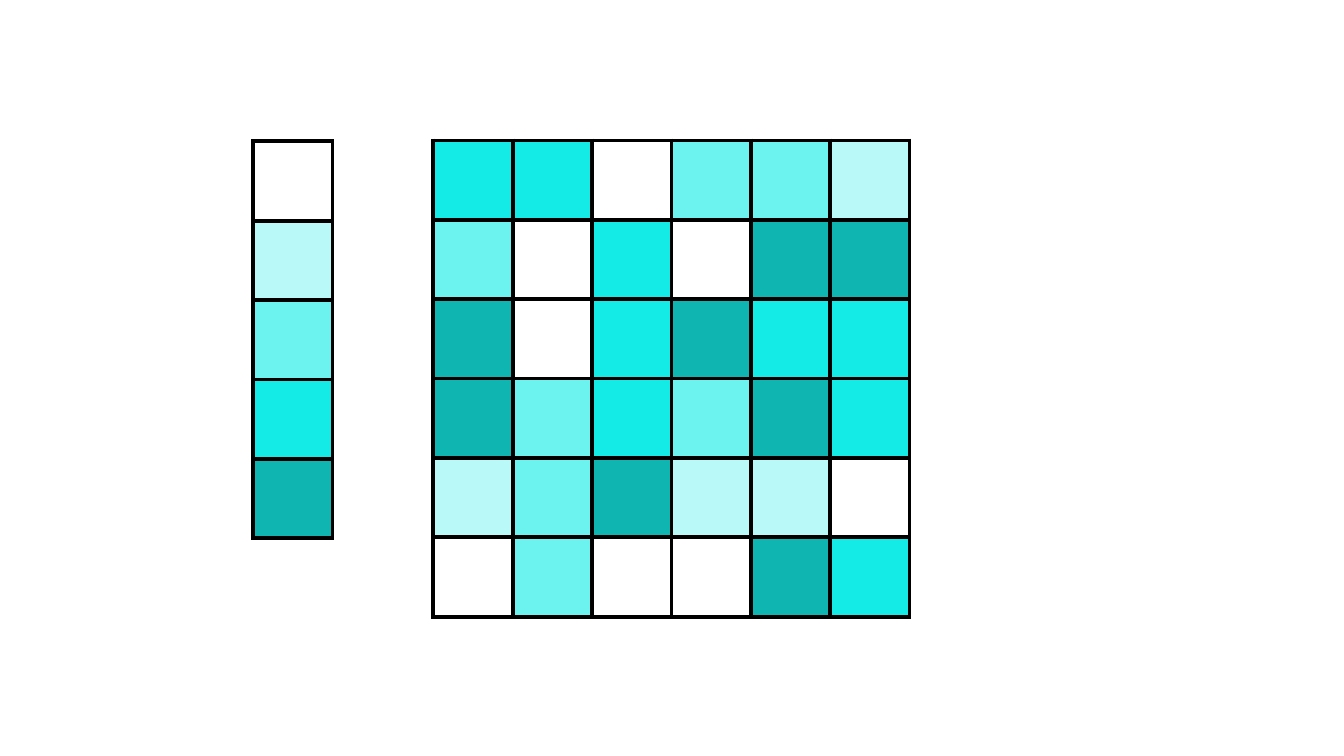
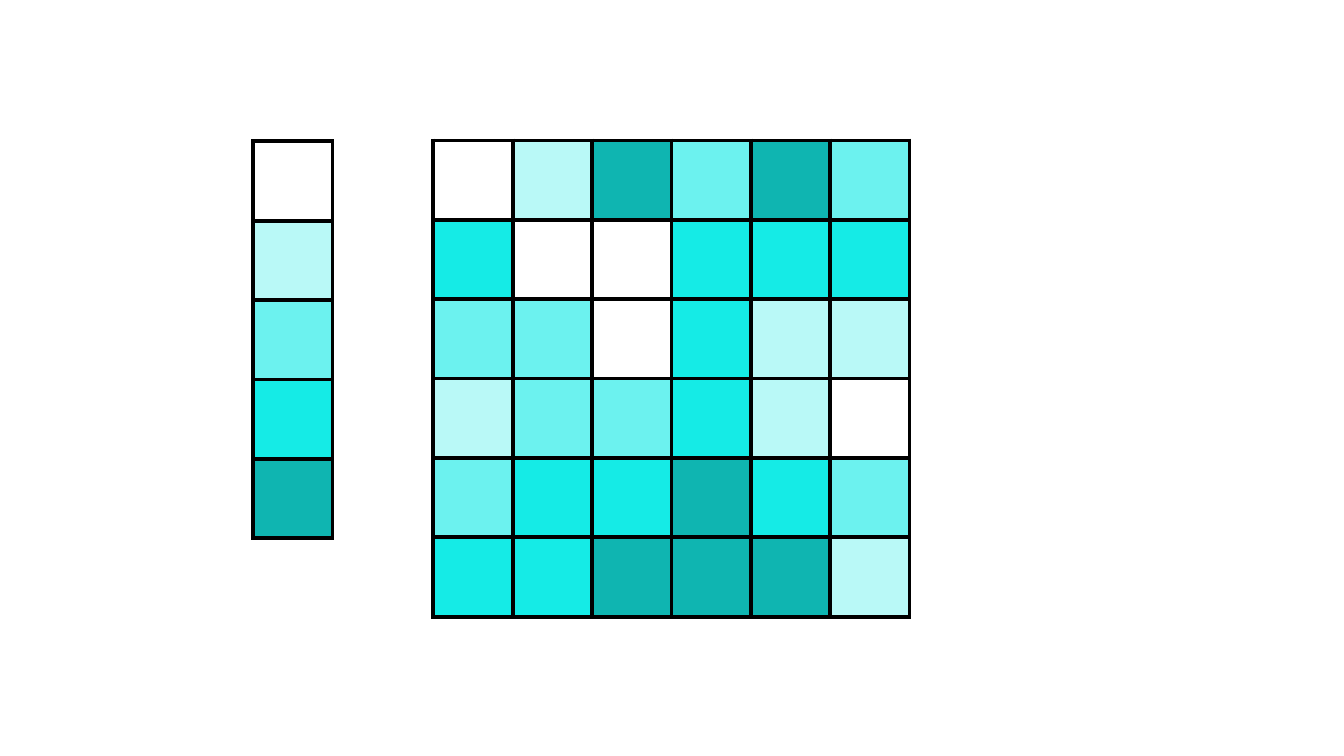
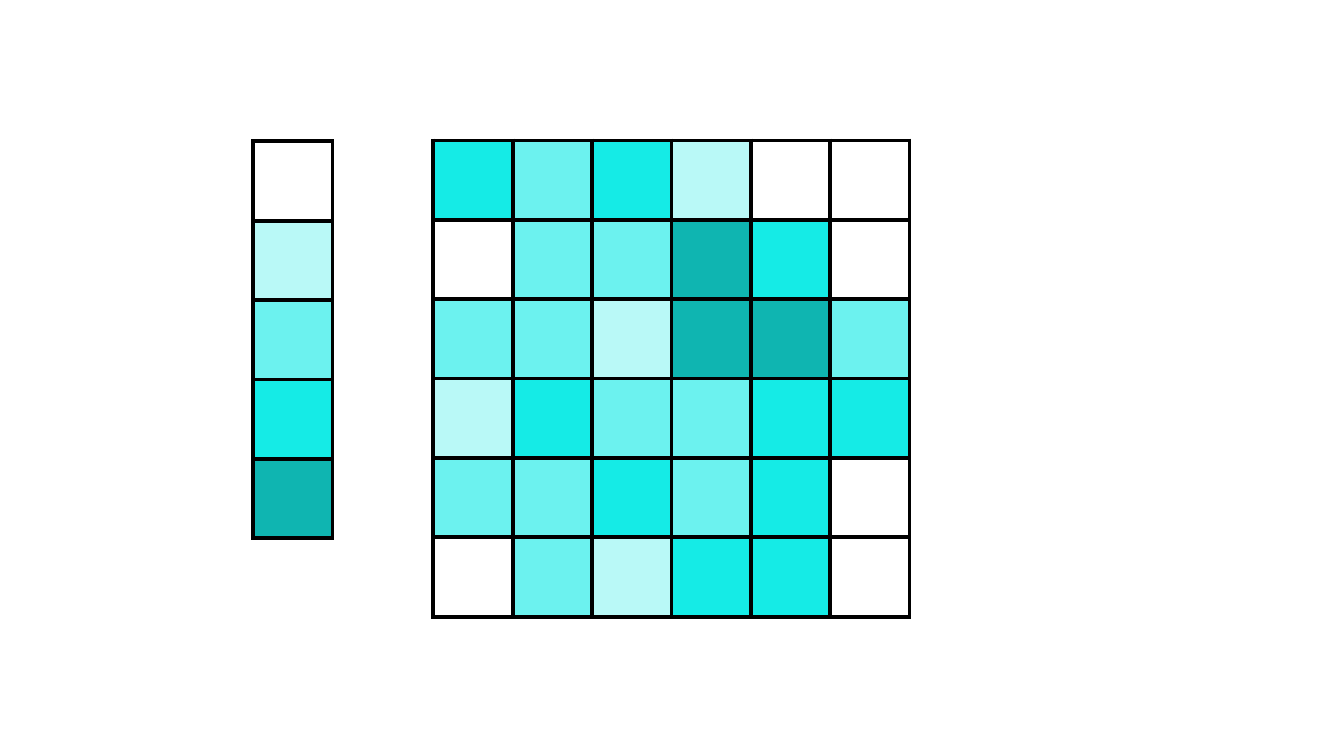
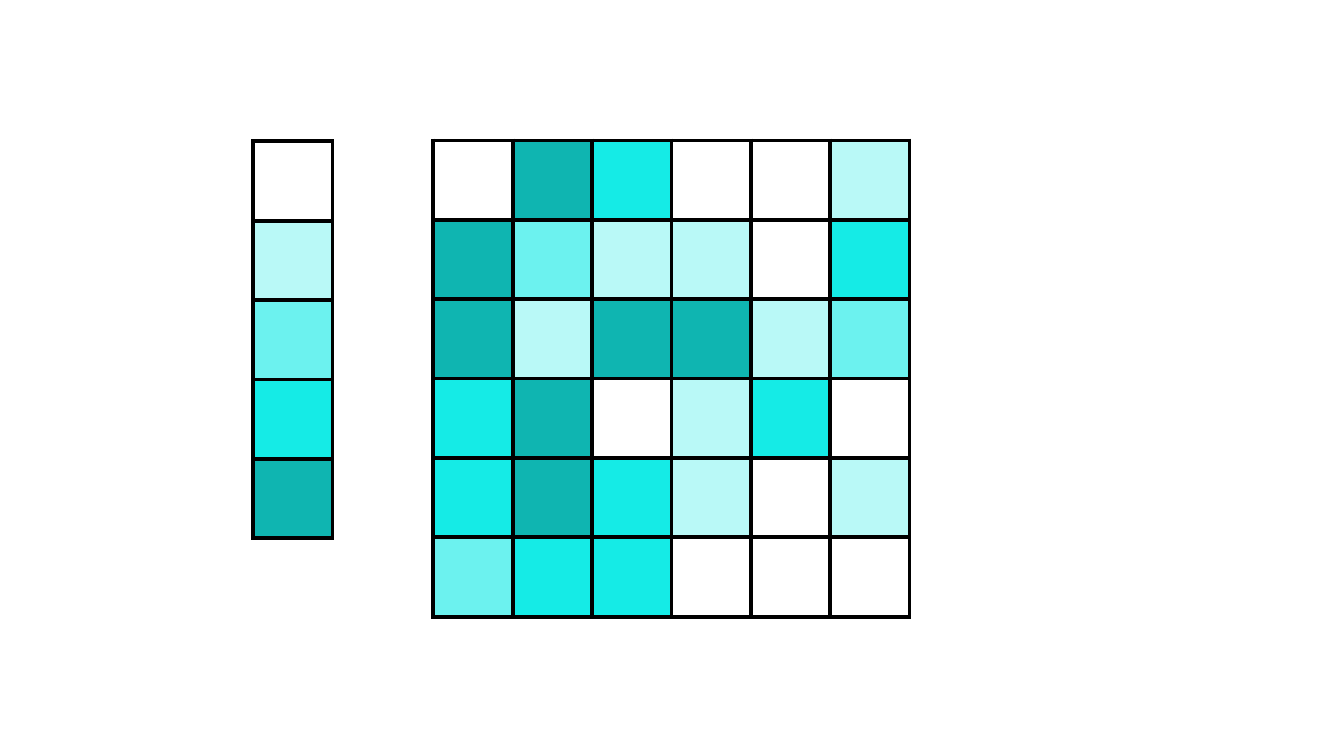
from lxml.etree import SubElement
from pptx import Presentation
from pptx.dml.color import RGBColor
from pptx.oxml.ns import qn
from pptx.util import Cm, Pt

BLACK = RGBColor(0x00, 0x00, 0x00)
WHITE = RGBColor(0xFF, 0xFF, 0xFF)
PALE = RGBColor(0xB9, 0xF9, 0xF7)
LIGHT = RGBColor(0x6C, 0xF2, 0xEF)
BRIGHT = RGBColor(0x15, 0xEB, 0xE6)
DEEP = RGBColor(0x0F, 0xB5, 0xB1)
SCALE = (WHITE, PALE, LIGHT, BRIGHT, DEEP)

LEGEND = "0 1 2 3 4"
GRIDS = (
    "330221 203044 403433 423243 124110 020043",
    "014242 300333 220311 122310 233432 334441",
    "323100 022430 221442 132233 223230 021330",
    "043001 421103 414412 340130 343101 233000",
)


class Deck:
    side = Cm(2)
    edges = ("a:lnL", "a:lnR", "a:lnT", "a:lnB")

    def __init__(self):
        self.prs = Presentation()
        self.prs.slide_width = Cm(33.87)
        self.prs.slide_height = Cm(19.05)
        self.slide = None

    def page(self):
        self.slide = self.prs.slides.add_slide(self.prs.slide_layouts[6])

    def border(self, cell, color, width):
        props = cell._tc.get_or_add_tcPr()
        for edge in self.edges:
            line = SubElement(props, qn(edge), w=str(Pt(width)))
            fill = SubElement(line, qn("a:solidFill"))
            SubElement(fill, qn("a:srgbClr"), val=str(color))

    def grid(self, text, *, left, top, color=BLACK, width=3):
        rows = text.split()
        high, wide = len(rows), len(rows[0])
        table = self.slide.shapes.add_table(
            high, wide, Cm(left), Cm(top), self.side * wide, self.side * high
        ).table
        table.first_row = table.horz_banding = False
        for cell, level in zip(table.iter_cells(), "".join(rows)):
            self.border(cell, color, width)
            cell.fill.solid()
            cell.fill.fore_color.rgb = SCALE[int(level)]


def main():
    deck = Deck()
    for levels in GRIDS:
        deck.page()
        deck.grid(levels, left=10.92, top=3.54)
        deck.grid(LEGEND, left=6.38, top=3.56)
    deck.prs.save("out.pptx")


if __name__ == "__main__":
    main()
